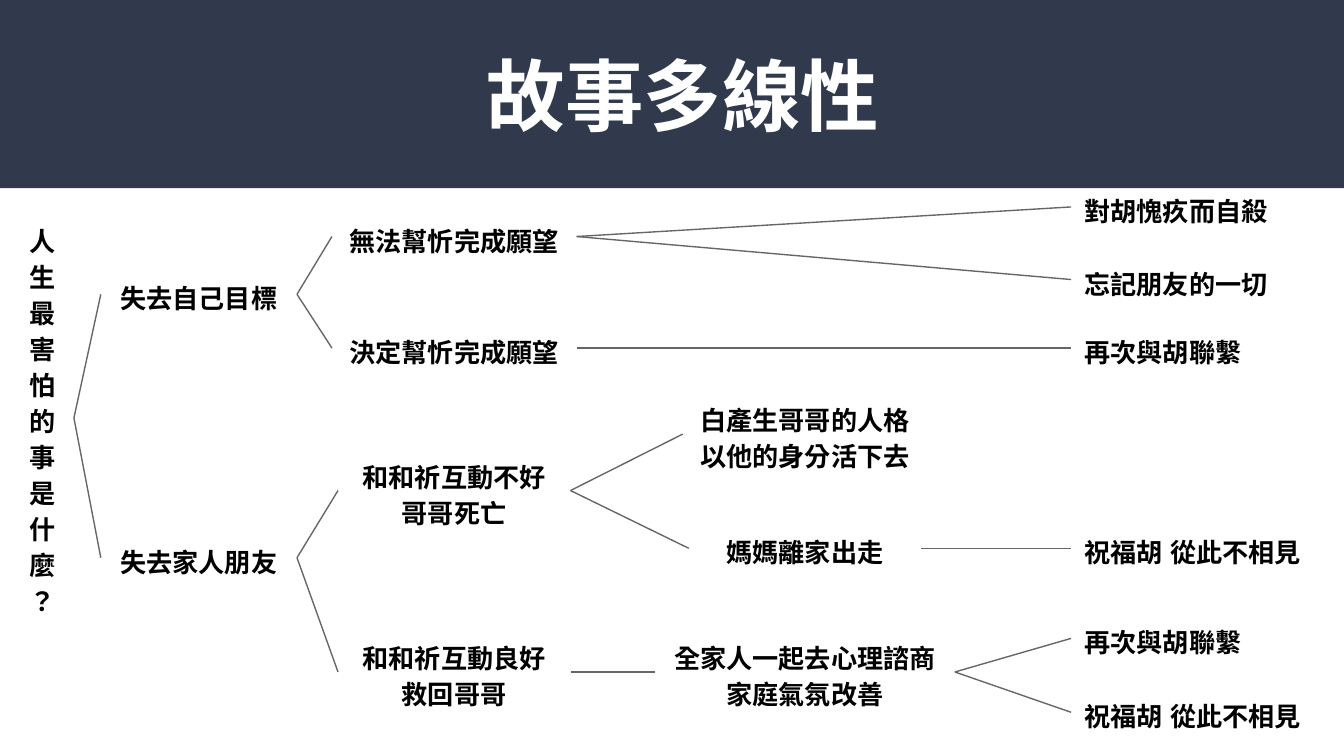
from dataclasses import dataclass

from lxml import etree
from pptx import Presentation
from pptx.dml.color import RGBColor
from pptx.enum.shapes import MSO_CONNECTOR, MSO_SHAPE
from pptx.enum.text import MSO_ANCHOR, MSO_AUTO_SIZE, PP_ALIGN
from pptx.oxml.ns import qn
from pptx.util import Inches, Pt

STRAIGHT = MSO_CONNECTOR.STRAIGHT
RECTANGLE = MSO_SHAPE.RECTANGLE
MIDDLE, TOP = MSO_ANCHOR.MIDDLE, MSO_ANCHOR.TOP
FIT_SHAPE, NO_FIT = MSO_AUTO_SIZE.SHAPE_TO_FIT_TEXT, MSO_AUTO_SIZE.NONE
CENTER, LEFT = PP_ALIGN.CENTER, PP_ALIGN.LEFT
LEFT_SIDE, RIGHT_SIDE = 1, 3

WIDTH = 10
HEIGHT = WIDTH * 9 / 16
BAND_HEIGHT = 1.4
LINE_HEIGHT, BOX_PADDING = 0.27, 0.17
COLORS = {"band": "31394D", "title": "FFFFFF", "text": "000000", "line": "666666"}

# Column centres; the endings share a left edge instead
CENTERS = {"question": 0.315, "loss": 1.48, "choice": 3.38, "result": 5.99}
ENDING_LEFT = 7.97


@dataclass
class Node:
    column: str
    middle: float
    width: float
    lines: tuple
    children: tuple = ()
    line_count: int = 0


def ending(middle, width, text):
    return Node("ending", middle, width, (text,))


STORY = Node("question", 3.11, 0.47, ("人生最害怕的事是什麼？",), (
    Node("loss", 2.19, 1.46, ("失去自己目標",), (
        Node("choice", 1.76, 1.82, ("無法幫忻完成願望",), (
            ending(1.54, 1.73, "對胡愧疚而自殺"),
            ending(2.08, 1.82, "忘記朋友的一切"),
        )),
        Node("choice", 2.59, 1.82, ("決定幫忻完成願望",), (
            ending(2.59, 1.62, "再次與胡聯繫"),
        )),
    )),
    Node("loss", 4.15, 1.46, ("失去家人朋友",), (
        Node("choice", 3.65, 1.73, ("和和祈互動不好", "哥哥死亡"), (
            Node("result", 3.23, 1.82, ("白產生哥哥的人格", "以他的身分活下去")),
            Node("result", 4.08, 1.73, ("媽媽離家出走",), (
                ending(4.08, 1.82, "祝福胡 從此不相見"),
            )),
        )),
        Node("choice", 5, 1.73, ("和和祈互動良好", "救回哥哥"), (
            Node("result", 5, 2.23, ("全家人一起去心理諮商", "家庭氣氛改善"), (
                ending(4.75, 1.62, "再次與胡聯繫"),
                ending(5.3, 2.02, "祝福胡 從此不相見"),
            )),
        )),
    )),
), line_count=11)


def color(name):
    return RGBColor.from_string(COLORS[name])


def write_lines(frame, lines, size, font, color_name, alignment, anchor, fit, spacing):
    frame.word_wrap = True
    frame.auto_size = fit
    frame.vertical_anchor = anchor
    frame.margin_left = frame.margin_right = Inches(0.1)
    frame.margin_top = frame.margin_bottom = Inches(0.1)
    for index, line in enumerate(lines):
        paragraph = frame.add_paragraph() if index else frame.paragraphs[0]
        paragraph.alignment = alignment
        paragraph.line_spacing = spacing
        # Keep the question mark on its own line in the narrow column
        paragraph._p.get_or_add_pPr().set("hangingPunct", "0")
        run = paragraph.add_run()
        run.text = line
        run.font.size = Pt(size)
        run.font.bold = True
        run.font.color.rgb = color(color_name)
        run.font.name = font
        # East Asian characters take their font from a separate element
        properties = run._r.get_or_add_rPr()
        properties.set("lang", "zh-TW")
        etree.SubElement(properties, qn("a:ea")).set("typeface", font)


def add_header(slide, text):
    band = slide.shapes.add_shape(RECTANGLE, 0, 0, Inches(WIDTH), Inches(BAND_HEIGHT))
    band.shadow.inherit = False
    band.fill.solid()
    band.fill.fore_color.rgb = color("band")
    band.line.fill.background()
    # Send the band behind the title
    slide.shapes._spTree.insert(2, band._element)

    title = slide.shapes.title
    title.left, title.top = Inches(0.42), Inches(0.26)
    title.width, title.height = Inches(9.32), Inches(0.88)
    write_lines(title.text_frame, (text,), 42, "TeX Gyre Schola", "title",
                CENTER, MIDDLE, NO_FIT, 1)


def add_box(slide, node):
    is_ending = node.column == "ending"
    left = ENDING_LEFT if is_ending else CENTERS[node.column] - node.width / 2
    height = BOX_PADDING + LINE_HEIGHT * (node.line_count or len(node.lines))
    box = slide.shapes.add_textbox(Inches(left), Inches(node.middle - height / 2),
                                   Inches(node.width), Inches(height))
    write_lines(box.text_frame, node.lines, 14, "Arial", "text",
                LEFT if is_ending else CENTER, TOP, FIT_SHAPE, 1.15)
    return box


def add_branch(slide, parent_box, child_box):
    branch = slide.shapes.add_connector(STRAIGHT, 0, 0, 0, 0)
    branch.begin_connect(parent_box, RIGHT_SIDE)
    branch.end_connect(child_box, LEFT_SIDE)
    branch.line.color.rgb = color("line")
    branch.line.width = Pt(0.75)
    etree.SubElement(branch._element.spPr, qn("a:effectLst"))


def add_tree(slide, node):
    box = add_box(slide, node)
    for child in node.children:
        add_branch(slide, box, add_tree(slide, child))
    return box


def main():
    presentation = Presentation()
    presentation.slide_width, presentation.slide_height = Inches(WIDTH), Inches(HEIGHT)
    slide = presentation.slides.add_slide(presentation.slide_layouts[5])
    add_header(slide, "故事多線性")
    add_tree(slide, STORY)
    presentation.save("out.pptx")


if __name__ == "__main__":
    main()
